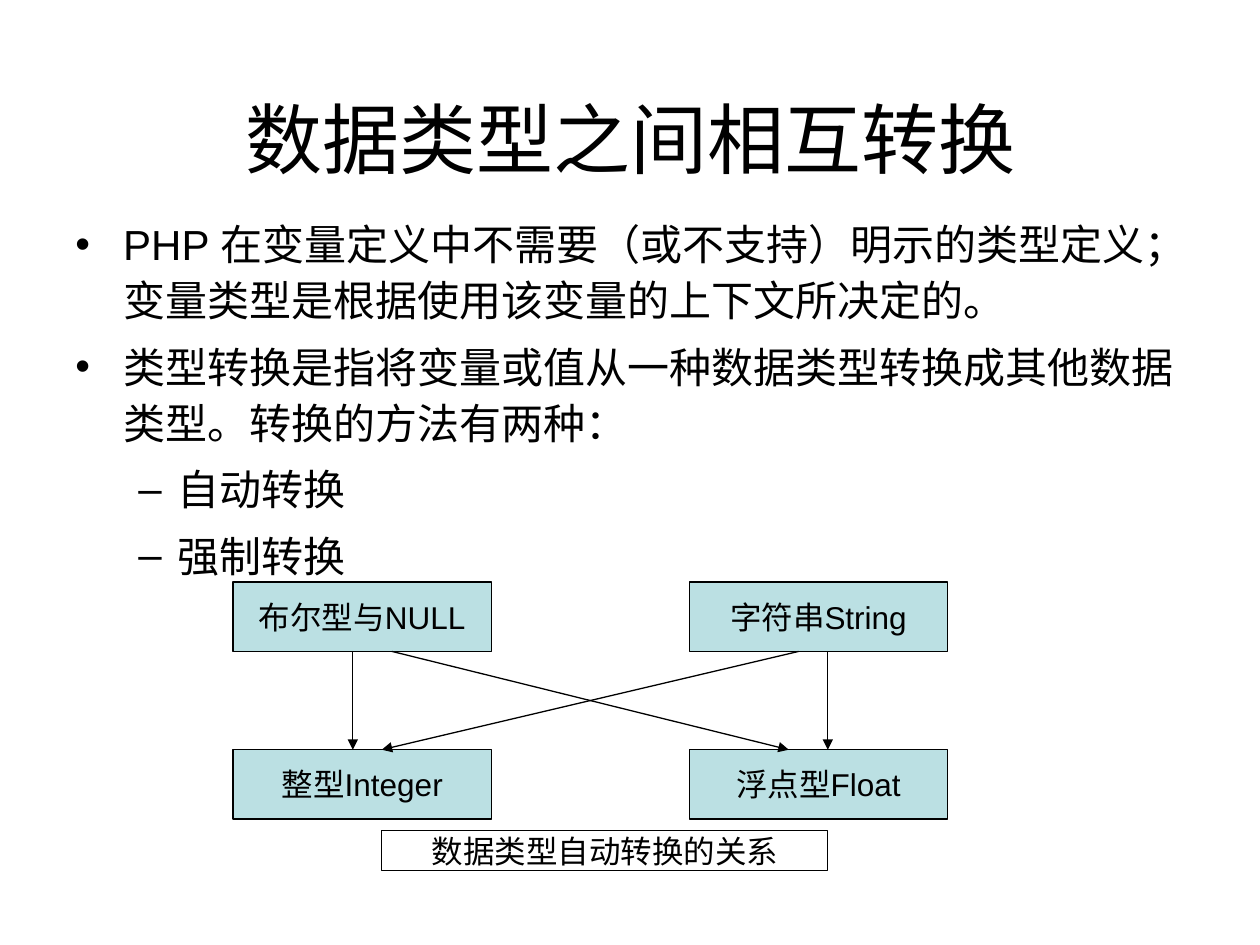
from dataclasses import dataclass

from lxml.etree import SubElement
from pptx import Presentation
from pptx.dml.color import RGBColor
from pptx.enum.shapes import MSO_CONNECTOR, MSO_SHAPE
from pptx.enum.text import MSO_ANCHOR as Anchor, PP_ALIGN as Align
from pptx.oxml.ns import qn
from pptx.util import Inches, Pt


@dataclass(frozen=True)
class Theme:
    font: str = "Arial"
    ink: RGBColor = RGBColor(0x00, 0x00, 0x00)
    paper: RGBColor = RGBColor(0xFF, 0xFF, 0xFF)
    node: RGBColor = RGBColor(0xBB, 0xE0, 0xE3)
    title_size: Pt = Pt(44)
    body_size: Pt = Pt(24)
    label_size: Pt = Pt(18)
    line_width: Pt = Pt(0.75)


THEME = Theme()

TITLE = "数据类型之间相互转换"
BULLETS = [
    (0, "PHP 在变量定义中不需要（或不支持）明示的类型定义；变量类型是根据使用该变量的上下文所决定的。"),
    (0, "类型转换是指将变量或值从一种数据类型转换成其他数据类型。转换的方法有两种："),
    (1, "自动转换"),
    (1, "强制转换"),
]
# Bullet sign, left margin and hanging indent for each level
BULLET_LEVELS = [("•", 0.38, -0.38), ("–", 0.81, -0.31)]
NODES = [["布尔型与NULL", "字符串String"], ["整型Integer", "浮点型Float"]]
CAPTION = "数据类型自动转换的关系"
# Start and end of each arrow, measured across from the diagram's left edge
ARROWS = [(0.95, 0.95), (4.72, 4.72), (1.26, 4.41), (4.49, 1.18)]


def set_all(target, values):
    for name, value in values.items():
        setattr(target, name, value)


def write(para, text, size):
    span = para.add_run()
    span.text = text
    set_all(span.font, {"name": THEME.font, "size": size})
    span.font.color.rgb = THEME.ink


def add_title(page, left, top, width, height):
    box = page.shapes.add_textbox(*map(Inches, (left, top, width, height)))
    set_all(box.text_frame, {"word_wrap": True, "vertical_anchor": Anchor.MIDDLE})
    para = box.text_frame.paragraphs[0]
    para.alignment = Align.CENTER
    write(para, TITLE, THEME.title_size)


def set_bullet(para, level):
    sign, margin, indent = BULLET_LEVELS[level]
    props = para._p.get_or_add_pPr()
    props.set("marL", str(Inches(margin)))
    props.set("indent", str(Inches(indent)))
    SubElement(props, qn("a:buFont"), typeface=THEME.font)
    SubElement(props, qn("a:buChar"), char=sign)


def add_bullets(page, left, top, width, height):
    box = page.shapes.add_textbox(*map(Inches, (left, top, width, height)))
    frame = box.text_frame
    frame.word_wrap = True
    for index, (level, text) in enumerate(BULLETS):
        para = frame.add_paragraph() if index else frame.paragraphs[0]
        set_all(para, {"level": level, "line_spacing": Pt(32), "space_before": Pt(6)})
        set_bullet(para, level)
        write(para, text, THEME.body_size)


def add_label_box(page, text, fill, left, top, width, height):
    box = page.shapes.add_shape(
        MSO_SHAPE.RECTANGLE, *map(Inches, (left, top, width, height)))
    box.shadow.inherit = False
    box.fill.solid()
    box.fill.fore_color.rgb = fill
    box.line.color.rgb = THEME.ink
    box.line.width = THEME.line_width
    set_all(box.text_frame, {"word_wrap": False, "vertical_anchor": Anchor.MIDDLE})
    para = box.text_frame.paragraphs[0]
    para.alignment = Align.CENTER
    write(para, text, THEME.label_size)


def add_arrow(page, *ends):
    arrow = page.shapes.add_connector(MSO_CONNECTOR.STRAIGHT, *map(Inches, ends))
    arrow.line.color.rgb = THEME.ink
    arrow.line.width = THEME.line_width
    SubElement(arrow.line._get_or_add_ln(), qn("a:tailEnd"), type="triangle")
    SubElement(arrow._element.spPr, qn("a:effectLst"))


def add_conversion_diagram(page, left, top, width, height):
    """Two rows of type boxes joined by arrows, with a caption at the foot."""
    node_width, node_height, row_step = 2.05, 0.55, 1.33
    column_step = width - node_width
    for row, labels in enumerate(NODES):
        for column, label in enumerate(labels):
            add_label_box(page, label, THEME.node, left + column * column_step,
                          top + row * row_step, node_width, node_height)
    caption_height = 0.32
    add_label_box(page, CAPTION, THEME.paper, left + 1.18,
                  top + height - caption_height, 3.54, caption_height)
    for start, end in ARROWS:
        add_arrow(page, left + start, top + node_height, left + end, top + row_step)


def main():
    deck = Presentation()
    set_all(deck, {"slide_width": Inches(10), "slide_height": Inches(7.5)})
    page = deck.slides.add_slide(deck.slide_layouts[6])
    add_title(page, 0.51, 0.7, 9, 0.79)
    add_bullets(page, 0.5, 1.64, 9, 2.89)
    add_conversion_diagram(page, 1.85, 4.62, 5.67, 2.29)
    deck.save("out.pptx")


if __name__ == "__main__":
    main()
